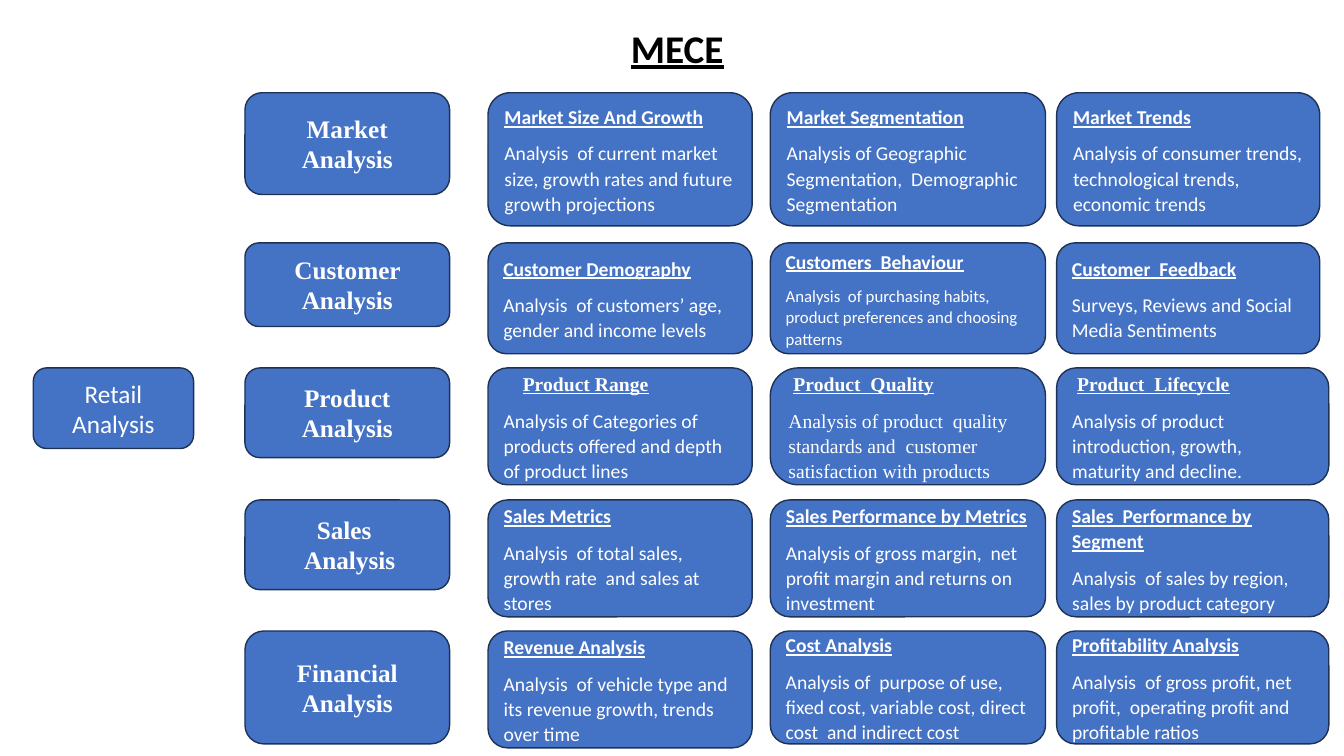
from dataclasses import dataclass

import pptx
import pptx.dml.color
import pptx.enum.shapes
import pptx.enum.text
import pptx.util

SLIDE_WIDTH, SLIDE_HEIGHT = 13.33, 7.5
SANS, SERIF = "Calibri", "Times New Roman"
FILL, OUTLINE, WHITE, BLACK = "4472C4", "1E3256", "FFFFFF", "000000"
ALIGN = pptx.enum.text.PP_ALIGN
ROUND_CORNER = 0.16667


@dataclass(frozen=True)
class Column:
    left: float
    width: float


@dataclass(frozen=True)
class Topic:
    heading: str
    body: str
    heading_font: str = SANS
    body_font: str = SANS
    body_size: int = 14
    indent: float = 0
    corner: float = ROUND_CORNER
    extra_height: float = 0


@dataclass(frozen=True)
class Row:
    top: float
    category: tuple[str, ...]
    category_height: float
    topic_height: float
    last_width: float
    topics: tuple[Topic, ...]


CATEGORY_COLUMN = Column(2.43, 2.03)
TOPIC_COLUMNS = (Column(4.84, 2.62), Column(7.64, 2.73), Column(10.48, 2.7))

ROWS = (
    Row(0.92, ("Market Analysis",), 1.01, 1.32, 2.61, (
        Topic("Market Size And Growth",
              "Analysis  of current market size, growth rates and future growth projections"),
        Topic("Market Segmentation",
              "Analysis of Geographic Segmentation,  Demographic Segmentation"),
        Topic("Market Trends",
              "Analysis of consumer trends, technological trends, economic trends"),
    )),
    Row(2.41, ("Customer Analysis",), 0.83, 1.1, 2.61, (
        Topic("Customer Demography", "Analysis  of customers’ age, gender and income levels"),
        Topic("Customers  Behaviour",
              "Analysis  of purchasing habits, product preferences and choosing patterns",
              body_size=12),
        Topic("Customer  Feedback", "Surveys, Reviews and Social Media Sentiments"),
    )),
    Row(3.65, ("Product Analysis",), 0.89, 1.16, 2.7, (
        Topic("Product Range",
              "Analysis of Categories of products offered and depth of product lines",
              heading_font=SERIF, indent=0.19),
        Topic("Product  Quality",
              "Analysis of product  quality standards and  customer satisfaction with products",
              heading_font=SERIF, body_font=SERIF, indent=0.05, corner=0.24),
        Topic("Product  Lifecycle",
              "Analysis of product introduction, growth, maturity and decline.",
              heading_font=SERIF, indent=0.05),
    )),
    Row(4.96, ("Sales ", " Analysis"), 0.89, 1.16, 2.7, (
        Topic("Sales Metrics", "Analysis  of total sales,  growth rate  and sales at stores"),
        Topic("Sales Performance by Metrics",
              "Analysis of gross margin,  net profit margin and returns on investment"),
        Topic("Sales  Performance by Segment",
              "Analysis  of sales by region, sales by product category"),
    )),
    Row(6.26, ("Financial Analysis",), 1.12, 1.12, 2.7, (
        Topic("Revenue Analysis",
              "Analysis  of vehicle type and its revenue growth, trends  over time",
              extra_height=0.04),
        Topic("Cost Analysis",
              "Analysis of  purpose of use, fixed cost, variable cost, direct cost  and indirect cost"),
        Topic("Profitability Analysis",
              "Analysis  of gross profit, net profit,  operating profit and profitable ratios"),
    )),
)


def color(value: str) -> pptx.dml.color.RGBColor:
    return pptx.dml.color.RGBColor.from_string(value)


def write(box, text: str, *, size: int, font: str = SANS, ink: str = WHITE,
          bold: bool = False, underline: bool = False, align=ALIGN.LEFT,
          indent: float = 0, line_spacing: float = 1.0, after: int = 0) -> None:
    frame = box.text_frame
    para = frame.add_paragraph() if frame.text else frame.paragraphs[0]
    para.alignment = align
    para.line_spacing = line_spacing
    para.space_after = pptx.util.Pt(after)
    if indent:
        para._p.get_or_add_pPr().set("marL", str(pptx.util.Inches(indent)))
    span = para.add_run()
    span.text = text
    span.font.name = font
    span.font.size = pptx.util.Pt(size)
    span.font.bold = bold
    span.font.underline = underline
    span.font.color.rgb = color(ink)


def add_box(page, left: float, top: float, width: float, height: float,
            corner: float = ROUND_CORNER):
    box = page.shapes.add_shape(
        pptx.enum.shapes.MSO_SHAPE.ROUNDED_RECTANGLE,
        *map(pptx.util.Inches, (left, top, width, height)))
    box.adjustments[0] = corner
    box.shadow.inherit = False
    box.fill.solid()
    box.fill.fore_color.rgb = color(FILL)
    box.line.color.rgb = color(OUTLINE)
    box.line.width = pptx.util.Pt(1)
    box.text_frame.word_wrap = True
    box.text_frame.vertical_anchor = pptx.enum.text.MSO_ANCHOR.MIDDLE
    return box


def add_title(page) -> None:
    box = page.shapes.add_textbox(*map(pptx.util.Inches, (6.16, 0.19, 2.87, 0.57)))
    box.text_frame.word_wrap = True
    write(box, "MECE", size=28, ink=BLACK, bold=True, underline=True, align=ALIGN.JUSTIFY)


def add_topic(page, topic: Topic, left: float, top: float, width: float, height: float) -> None:
    box = add_box(page, left, top, width, height + topic.extra_height, topic.corner)
    write(box, topic.heading, size=14, font=topic.heading_font, bold=True, underline=True,
          indent=topic.indent, line_spacing=1.07, after=8)
    write(box, topic.body, size=topic.body_size, font=topic.body_font,
          line_spacing=1.07, after=8)


def add_row(page, row: Row) -> None:
    category = add_box(page, CATEGORY_COLUMN.left, row.top,
                       CATEGORY_COLUMN.width, row.category_height)
    for text in row.category:
        write(category, text, size=18, font=SERIF, bold=True, align=ALIGN.CENTER)
    widths = [column.width for column in TOPIC_COLUMNS[:-1]] + [row.last_width]
    for column, width, topic in zip(TOPIC_COLUMNS, widths, row.topics):
        add_topic(page, topic, column.left, row.top, width, row.topic_height)


def main() -> None:
    deck = pptx.Presentation()
    deck.slide_width = pptx.util.Inches(SLIDE_WIDTH)
    deck.slide_height = pptx.util.Inches(SLIDE_HEIGHT)
    page = deck.slides.add_slide(deck.slide_layouts[6])
    add_title(page)
    root = add_box(page, 0.33, 3.65, 1.59, 0.8)
    write(root, "Retail Analysis", size=18, align=ALIGN.CENTER)
    for row in ROWS:
        add_row(page, row)
    deck.save("out.pptx")


if __name__ == "__main__":
    main()
